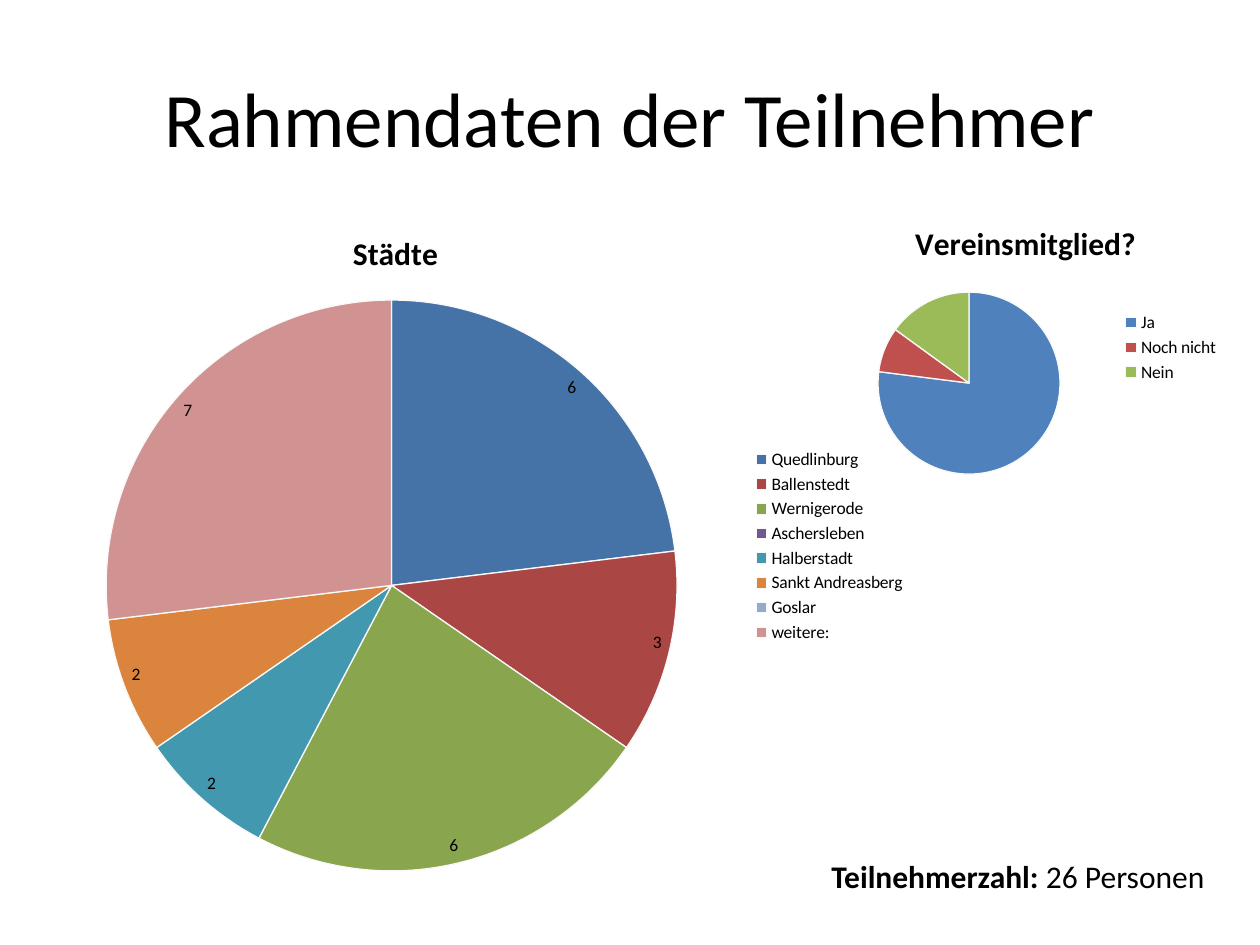
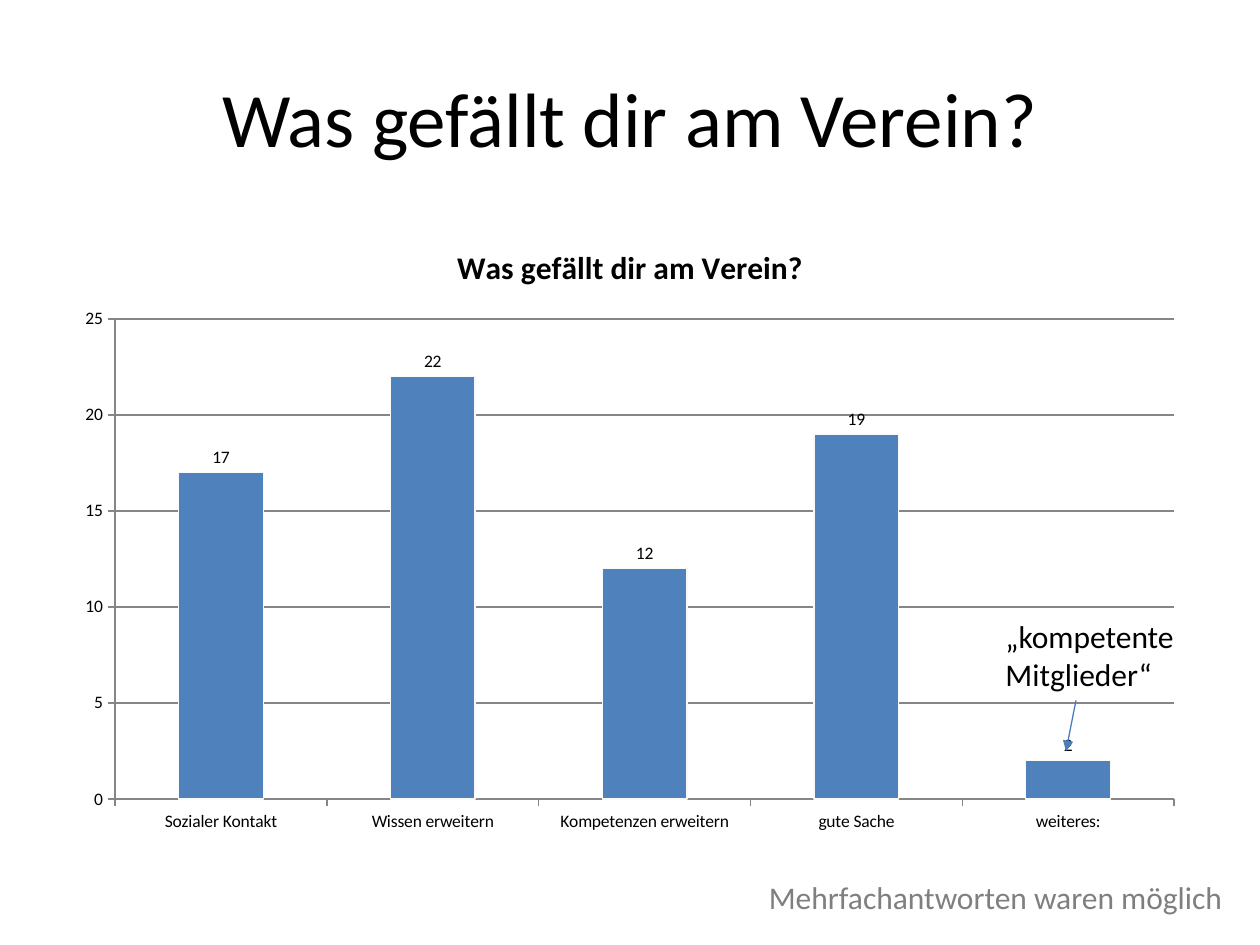
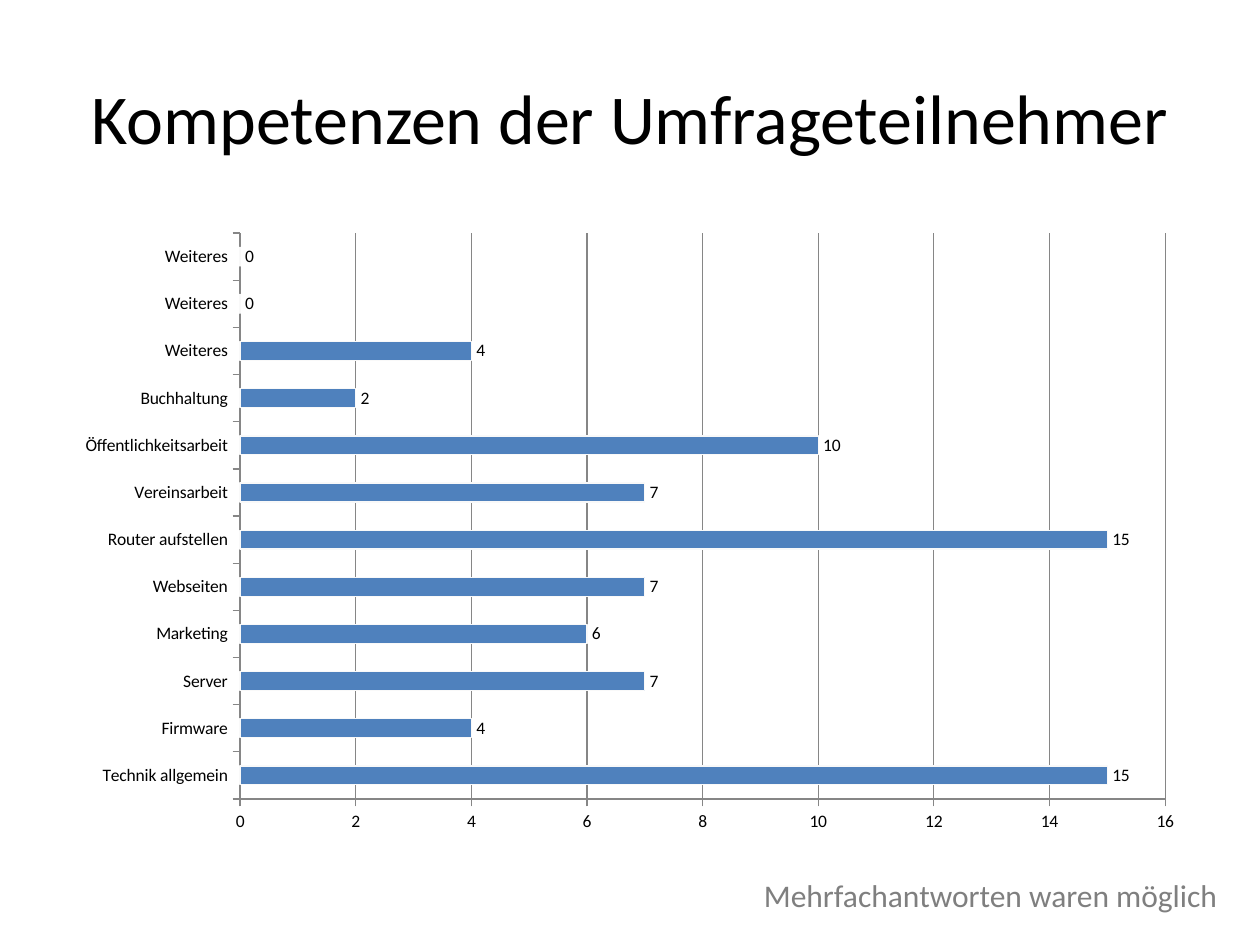
from dataclasses import dataclass
from typing import Any, NamedTuple, Optional

from pptx import Presentation
from pptx import util as u
from pptx.chart.data import CategoryChartData
from pptx.dml.color import RGBColor
from pptx.enum import chart as charts, shapes, text
from pptx.oxml import parse_xml
from pptx.oxml.ns import nsdecls, qn

FONT = "Calibri"
BLACK = RGBColor(0x00, 0x00, 0x00)
GREY = RGBColor(0x7F, 0x7F, 0x7F)
AXIS_GREY = RGBColor(0x86, 0x86, 0x86)
EDGE = RGBColor(0xF9, 0xF9, 0xF9)
ARROW_BLUE = RGBColor(0x4A, 0x7E, 0xBB)
BAR_BLUE = RGBColor(0x4F, 0x81, 0xBD)
CITY_COLORS = [RGBColor.from_string(code) for code in (
    "4572A7", "AA4643", "89A54E", "71588F", "4198AF", "DB843D", "93A9CF", "D19392")]
MEMBER_COLORS = [BAR_BLUE, RGBColor(0xC0, 0x50, 0x4D), RGBColor(0x9B, 0xBB, 0x59)]
THIN = u.Pt(0.75)


class Box(NamedTuple):
    """Left, top, width and height in centimetres."""
    left: float
    top: float
    width: float
    height: float

    def lengths(self) -> list[u.Cm]:
        return [u.Cm(value) for value in self]


class Span(NamedTuple):
    text: str
    bold: bool = False


@dataclass
class ChartCard:
    kind: Any
    box: Box
    plot_box: Box
    values: list[tuple[str, int]]
    colors: list[RGBColor]
    title: Optional[str] = None
    title_at: Optional[tuple[float, float]] = None
    labelled: bool = True
    axis_max: int = 0
    axis_step: int = 0


@dataclass
class Note:
    box: Box
    spans: list[Span]
    color: RGBColor = BLACK
    align: Any = text.PP_ALIGN.LEFT


TITLE_BOX = Box(1.27, 0.76, 22.86, 3.18)
BAR_CHART_BOX = Box(1.27, 4.45, 22.86, 12.57)
MULTIPLE_ANSWERS = [Span("Mehrfachantworten waren möglich")]

CITIES = ChartCard(
    charts.XL_CHART_TYPE.PIE, Box(0.71, 4.11, 17.81, 13.79), Box(2.14, 6.05, 11.51, 11.51),
    [("Quedlinburg", 6), ("Ballenstedt", 3), ("Wernigerode", 6), ("Aschersleben", 0),
     ("Halberstadt", 2), ("Sankt Andreasberg", 2), ("Goslar", 0), ("weitere:", 7)],
    CITY_COLORS, "Städte", title_at=(7.0, 4.55))
MEMBERS = ChartCard(
    charts.XL_CHART_TYPE.PIE, Box(16.51, 4.11, 8.33, 5.79), Box(17.7, 5.89, 3.67, 3.67),
    [("Ja", 77), ("Noch nicht", 8), ("Nein", 15)],
    MEMBER_COLORS, "Vereinsmitglied?", labelled=False)
LIKES = ChartCard(
    charts.XL_CHART_TYPE.COLUMN_CLUSTERED, BAR_CHART_BOX, Box(2.32, 6.43, 21.35, 9.68),
    [("Sozialer Kontakt", 17), ("Wissen erweitern", 22), ("Kompetenzen erweitern", 12),
     ("gute Sache", 19), ("weiteres:", 2)],
    [BAR_BLUE], "Was gefällt dir am Verein?", axis_max=25, axis_step=5)
SKILLS = ChartCard(
    charts.XL_CHART_TYPE.BAR_CLUSTERED, BAR_CHART_BOX, Box(4.84, 4.7, 18.65, 11.41),
    [("Technik allgemein", 15), ("Firmware", 4), ("Server", 7), ("Marketing", 6),
     ("Webseiten", 7), ("Router aufstellen", 15), ("Vereinsarbeit", 7),
     ("Öffentlichkeitsarbeit", 10), ("Buchhaltung", 2),
     ("Weiteres", 4), ("Weiteres", 0), ("Weiteres", 0)],
    [BAR_BLUE], axis_max=16, axis_step=2)


def set_values(target: Any, values: dict[str, Any]) -> None:
    for name, value in values.items():
        setattr(target, name, value)


def style_font(font: Any, size: float, color: RGBColor = BLACK, bold: bool = False) -> None:
    set_values(font, {"name": FONT, "size": u.Pt(size), "bold": bold})
    font.color.rgb = color


def style_line(line: Any, color: RGBColor) -> None:
    line.color.rgb = color
    line.width = THIN


def set_layout(part: Any, index: int, values: dict[str, Any]) -> None:
    """Give a chart part a manual layout, as its child number index."""
    old = part.find(qn("c:layout"))
    if old is not None:
        part.remove(old)
    settings = "".join(f'<c:{name} val="{value}"/>' for name, value in values.items())
    part.insert(index, parse_xml(
        f'<c:layout {nsdecls("c")}><c:manualLayout>{settings}</c:manualLayout></c:layout>'))


def edge_position(card: ChartCard, left: float, top: float) -> dict[str, Any]:
    return {"xMode": "edge", "yMode": "edge",
            "x": (left - card.box.left) / card.box.width,
            "y": (top - card.box.top) / card.box.height}


def style_title(chart: Any, card: ChartCard) -> None:
    chart.has_title = card.title is not None
    if card.title is None:
        return
    frame = chart.chart_title.text_frame
    frame.text = card.title
    style_font(frame.paragraphs[0].runs[0].font, 18, bold=True)
    chart.chart_title.include_in_layout = False
    if card.title_at:
        set_layout(chart.element.find(".//" + qn("c:title")), 1,
                   edge_position(card, *card.title_at))


def style_axes(chart: Any, card: ChartCard) -> None:
    for axis in (chart.category_axis, chart.value_axis):
        axis.major_tick_mark = charts.XL_TICK_MARK.OUTSIDE
        style_font(axis.tick_labels.font, 10)
        style_line(axis.format.line, AXIS_GREY)
    chart.category_axis.tick_label_position = charts.XL_TICK_LABEL_POSITION.LOW
    set_values(chart.value_axis, {
        "minimum_scale": 0, "maximum_scale": card.axis_max,
        "major_unit": card.axis_step, "has_major_gridlines": True})
    style_line(chart.value_axis.major_gridlines.format.line, AXIS_GREY)


def style_labels(series: Any, is_pie: bool) -> None:
    place = charts.XL_LABEL_POSITION
    labels = series.data_labels
    set_values(labels, {
        "show_value": True,
        "position": place.INSIDE_END if is_pie else place.OUTSIDE_END,
        "number_format": "0;;" if is_pie else "General",
        "number_format_is_linked": False})
    style_font(labels.font, 10)


def add_chart(page: Any, card: ChartCard) -> None:
    is_pie = card.kind == charts.XL_CHART_TYPE.PIE
    data = CategoryChartData()
    data.categories = [name for name, _ in card.values]
    data.add_series("Series 1", [value for _, value in card.values])
    chart = page.shapes.add_chart(card.kind, *card.box.lengths(), data).chart
    style_font(chart.font, 10)
    style_title(chart, card)

    plot = chart.plots[0]
    plot.vary_by_categories = is_pie
    series = plot.series[0]
    chart.has_legend = is_pie
    if is_pie:
        set_values(chart.legend, {"position": charts.XL_LEGEND_POSITION.RIGHT,
                                  "include_in_layout": False})
        style_font(chart.legend.font, 10)
        painted = [series.points[index] for index in range(len(card.colors))]
    else:
        plot.gap_width = 150
        series.invert_if_negative = False
        style_axes(chart, card)
        painted = [series]
    for part, color in zip(painted, card.colors):
        part.format.fill.solid()
        part.format.fill.fore_color.rgb = color
        style_line(part.format.line, EDGE)
    if card.labelled:
        style_labels(series, is_pie)

    area = card.plot_box
    set_layout(chart.element.find(".//" + qn("c:plotArea")), 0, {
        "layoutTarget": "inner", **edge_position(card, area.left, area.top),
        "w": area.width / card.box.width, "h": area.height / card.box.height})


def add_note(page: Any, note: Note) -> None:
    frame = page.shapes.add_textbox(*note.box.lengths()).text_frame
    set_values(frame, {"word_wrap": True, "auto_size": text.MSO_AUTO_SIZE.SHAPE_TO_FIT_TEXT})
    para = frame.paragraphs[0]
    para.alignment = note.align
    for span in note.spans:
        run = para.add_run()
        run.text = span.text
        style_font(run.font, 18, note.color, span.bold)


def add_arrow(page: Any, start: tuple[float, float], end: tuple[float, float]) -> None:
    arrow = page.shapes.add_connector(
        shapes.MSO_CONNECTOR.STRAIGHT, *(u.Cm(value) for value in start + end))
    style_line(arrow.line, ARROW_BLUE)
    properties = arrow.element.spPr
    properties.find(qn("a:ln")).append(
        parse_xml(f'<a:tailEnd {nsdecls("a")} type="triangle"/>'))
    properties.append(parse_xml(f'<a:effectLst {nsdecls("a")}/>'))


def add_page(deck: Any, title: str, size: float = 44) -> Any:
    page = deck.slides.add_slide(deck.slide_layouts.get_by_name("Title Only"))
    box = page.shapes.title
    set_values(box, dict(zip(("left", "top", "width", "height"), TITLE_BOX.lengths())))
    box.text_frame.text = title
    box.text_frame.vertical_anchor = text.MSO_ANCHOR.MIDDLE
    para = box.text_frame.paragraphs[0]
    para.alignment = text.PP_ALIGN.CENTER
    style_font(para.runs[0].font, size)
    return page


def main() -> None:
    deck = Presentation()
    set_values(deck, {"slide_width": u.Cm(25.4), "slide_height": u.Cm(19.05)})

    page = add_page(deck, "Rahmendaten der Teilnehmer")
    add_chart(page, CITIES)
    add_note(page, Note(Box(16.51, 17.15, 8.41, 1.02),
                        [Span("Teilnehmerzahl: ", bold=True), Span("26 Personen")]))
    add_chart(page, MEMBERS)

    page = add_page(deck, "Was gefällt dir am Verein?")
    add_chart(page, LIKES)
    add_note(page, Note(Box(13.49, 17.58, 11.4, 1.02), MULTIPLE_ANSWERS,
                        GREY, text.PP_ALIGN.RIGHT))
    add_note(page, Note(Box(20.02, 12.32, 3.99, 1.8), [Span("„kompetente Mitglieder“")]))
    add_arrow(page, (21.69, 14.12), (21.49, 15.14))

    page = add_page(deck, "Kompetenzen der Umfrageteilnehmer", size=40)
    add_chart(page, SKILLS)
    add_note(page, Note(Box(14.3, 17.53, 10.49, 1.02), MULTIPLE_ANSWERS,
                        GREY, text.PP_ALIGN.RIGHT))

    deck.save("out.pptx")


if __name__ == "__main__":
    main()
